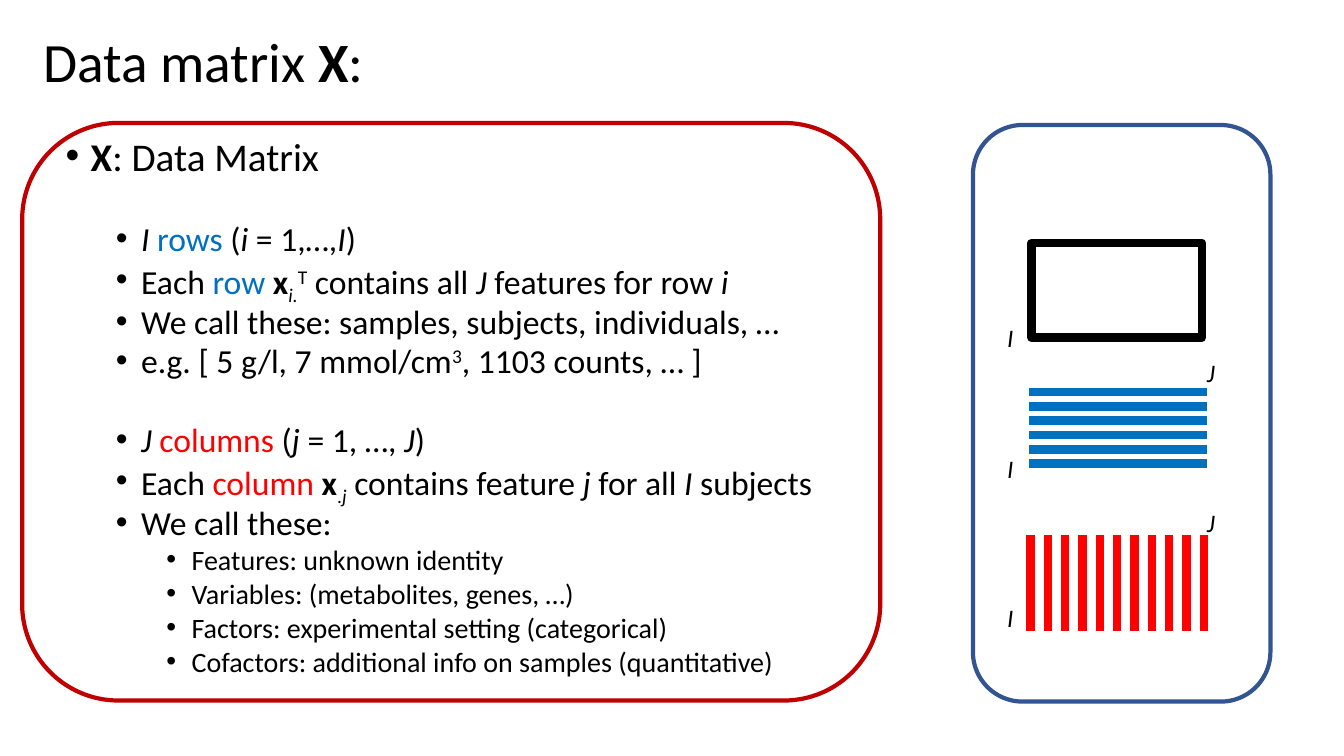
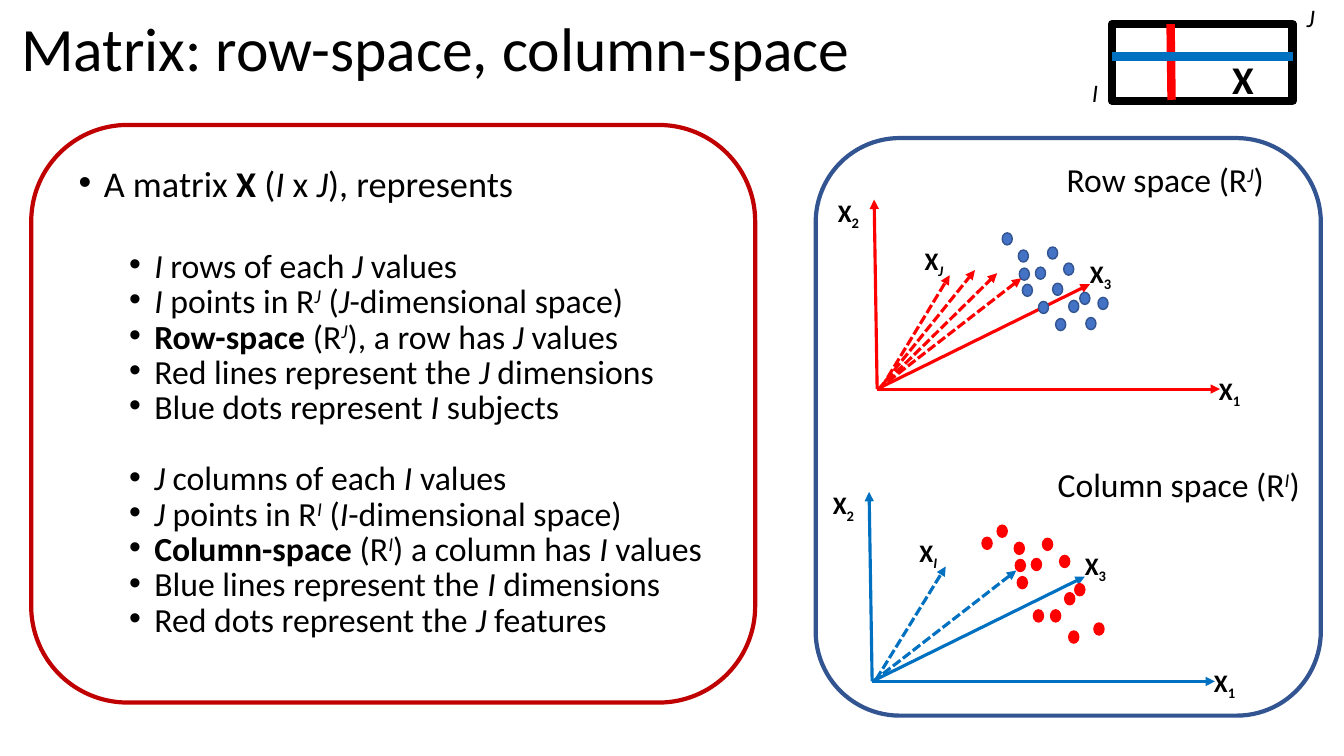
from dataclasses import dataclass
from typing import Optional

from lxml import etree
from pptx import Presentation
from pptx.dml.color import RGBColor
from pptx.enum.dml import MSO_LINE
from pptx.enum.shapes import MSO_CONNECTOR, MSO_SHAPE
from pptx.enum.text import MSO_ANCHOR, MSO_AUTO_SIZE, PP_ALIGN
from pptx.oxml.ns import qn
from pptx.util import Inches, Pt

STRAIGHT = MSO_CONNECTOR.STRAIGHT
RECTANGLE = MSO_SHAPE.RECTANGLE
ROUNDED = MSO_SHAPE.ROUNDED_RECTANGLE
OVAL = MSO_SHAPE.OVAL
DASH = MSO_LINE.SQUARE_DOT
LEFT = PP_ALIGN.LEFT
MIDDLE = MSO_ANCHOR.MIDDLE
NO_AUTOFIT = MSO_AUTO_SIZE.NONE

FONT = "Calibri"
COLORS = {
    "black": "000000", "white": "FFFFFF", "red": "FF0000", "blue": "0070C0",
    "dot": "4472C4", "navy": "325491", "crimson": "C00000",
}
BAR_WIDTH = 6
Point = tuple[float, float]


@dataclass(frozen=True)
class Box:
    left: float
    top: float
    width: float
    height: float

    def lengths(self) -> tuple:
        return tuple(Inches(v) for v in (self.left, self.top, self.width, self.height))


@dataclass(frozen=True)
class Item:
    markup: str
    level: int = 1
    gap: float = 0  # extra points above, opening a new group


@dataclass(frozen=True)
class ItemStyle:
    sizes: tuple[float, ...]
    line_spacing: float


@dataclass(frozen=True)
class Space:
    heading: str
    heading_at: Point
    origin: Point
    axis_color: str
    dot_fill: str
    dot_line: str
    last_axis: str
    dashed: list[tuple[Point, Point]]
    dots: list[Point]


# Text: "{flags:words}" marks bold b, italic i, sub _, super ^, blue B, red R
def write(paragraph, markup: str, *, size: float, bold: bool = False) -> None:
    def add(words: str, flags: str = "") -> None:
        if not words:
            return
        run = paragraph.add_run()
        run.text = words
        font = run.font
        font.name, font.size = FONT, Pt(size)
        font.bold = bold or "b" in flags
        font.italic = "i" in flags
        color = "blue" if "B" in flags else "red" if "R" in flags else "black"
        font.color.rgb = RGBColor.from_string(COLORS[color])
        if "_" in flags or "^" in flags:
            baseline = "-25000" if "_" in flags else "30000"
            run._r.get_or_add_rPr().set("baseline", baseline)

    plain, *marked = markup.split("{")
    add(plain)
    for piece in marked:
        tagged, rest = piece.split("}")
        flags, words = tagged.split(":", 1)
        add(words, flags)
        add(rest)


def add_label(slide, markup: str, at: Point, *, size: float = 18,
              bold: bool = False, width: float = 0.4) -> None:
    box = slide.shapes.add_textbox(*Box(*at, width, size / 45).lengths())
    frame = box.text_frame
    frame.word_wrap = True
    frame.margin_left = frame.margin_right = 0
    write(frame.paragraphs[0], markup, size=size, bold=bold)


def place(placeholder, box: Box):
    (placeholder.left, placeholder.top,
     placeholder.width, placeholder.height) = box.lengths()
    frame = placeholder.text_frame
    frame.auto_size = NO_AUTOFIT
    frame.word_wrap = True
    return frame


def set_title(slide, markup: str, box: Box, *, size: float) -> None:
    frame = place(slide.shapes.title, box)
    frame.vertical_anchor = MIDDLE
    paragraph = frame.paragraphs[0]
    paragraph.alignment = LEFT
    paragraph.line_spacing = 0.9
    write(paragraph, markup, size=size)


def set_items(slide, items: list[Item], box: Box, style: ItemStyle) -> None:
    frame = place(slide.placeholders[1], box)
    for number, item in enumerate(items):
        paragraph = frame.add_paragraph() if number else frame.paragraphs[0]
        paragraph.level = item.level
        properties = paragraph._p.get_or_add_pPr()
        properties.set("marL", str(Inches(0.25 + 0.5 * item.level)))
        properties.set("indent", str(Inches(-0.25)))
        etree.SubElement(properties, qn("a:buFont")).set("typeface", "Arial")
        etree.SubElement(properties, qn("a:buChar")).set("char", "•")
        paragraph.line_spacing = style.line_spacing
        paragraph.space_before = Pt(5 + item.gap if number else 0)
        write(paragraph, item.markup, size=style.sizes[item.level])


# Shapes and lines
def add_figure(slide, kind, box: Box, *, line: str, weight: float,
               fill: Optional[str] = None) -> None:
    shape = slide.shapes.add_shape(kind, *box.lengths())
    shape.shadow.inherit = False
    if fill:
        shape.fill.solid()
        shape.fill.fore_color.rgb = RGBColor.from_string(COLORS[fill])
    else:
        shape.fill.background()
    shape.line.color.rgb = RGBColor.from_string(COLORS[line])
    shape.line.width = Pt(weight)


def add_line(slide, start: Point, end: Point, *, color: str, weight: float = 2.25,
             dashed: bool = False, arrow: bool = False) -> None:
    connector = slide.shapes.add_connector(
        STRAIGHT, *(Inches(v) for v in (*start, *end)))
    line = connector.line
    line.color.rgb = RGBColor.from_string(COLORS[color])
    line.width = Pt(weight)
    if dashed:
        line.dash_style = DASH
    if arrow:
        etree.SubElement(line._get_or_add_ln(), qn("a:tailEnd")).set("type", "triangle")
    etree.SubElement(connector._element.spPr, qn("a:effectLst"))


def add_panels(slide, text_panel: Box, drawing_panel: Box) -> None:
    add_figure(slide, ROUNDED, text_panel, line="crimson", weight=3)
    add_figure(slide, ROUNDED, drawing_panel, line="navy", weight=3)


def add_matrix(slide, box: Box) -> None:
    add_figure(slide, RECTANGLE, box, line="black", weight=BAR_WIDTH, fill="white")


def add_space(slide, space: Space) -> None:
    x, y = space.origin
    add_label(slide, space.heading, space.heading_at, size=24, width=2.5)
    for end in ((x + 3.4, y), (x - 0.03, y - 1.88), (x + 2.11, y - 1.04)):
        add_line(slide, space.origin, end, color=space.axis_color, arrow=True)
    for start, end in space.dashed:
        add_line(slide, start, end, color=space.axis_color, dashed=True, arrow=True)
    for dot in space.dots:
        add_figure(slide, OVAL, Box(*dot, 0.1, 0.12),
                   fill=space.dot_fill, line=space.dot_line, weight=1)
    for index, dx, dy in (("_:1", 3.39, -0.19), ("_:2", -0.39, -1.95),
                          ("_:3", 2.11, -1.35), (f"i_:{space.last_axis}", 0.47, -1.48)):
        add_label(slide, f"X{{{index}}}", (x + dx, y + dy), bold=True)


# Content
DATA_ITEMS = [
    Item("{b:X}: Data Matrix", level=0),
    Item("{i:I }{B:rows} ({i:i} = 1,…,{i:I})", gap=28.4),
    Item("Each {B:row }{b:x}{i_:i.}{^:T} contains all {i:J} features for row {i:i}"),
    Item("We call these: samples, subjects, individuals, …"),
    Item("e.g. [ 5 g/l, 7 mmol/cm{^:3}, 1103 counts, … ]"),
    Item("{i:J }{R:columns} ({i:j} = 1, …, {i:J})", gap=28.4),
    Item("Each {R:column }{b:x}{_:.}{i_:j} contains feature {i:j} for all {i:I} subjects"),
    Item("We call these:"),
    Item("Features: unknown identity", level=2),
    Item("Variables: (metabolites, genes, …)", level=2),
    Item("Factors: experimental setting (categorical)", level=2),
    Item("Cofactors: additional info on samples (quantitative)", level=2),
]
SPACE_ITEMS = [
    Item("A matrix {b:X }({i:I} x {i:J}), represents", level=0),
    Item("{i:I} rows of each {i:J} values", gap=32.1),
    Item("{i:I} points in R{i^:J} ({i:J}-dimensional space)"),
    Item("{b:Row-space }(R{i^:J}), a row has {i:J} values"),
    Item("Red lines represent the {i:J} dimensions"),
    Item("Blue dots represent {i:I} subjects"),
    Item("{i:J} columns of each {i:I} values", gap=25.6),
    Item("{i:J} points in R{i^:I} ({i:I}-dimensional space)"),
    Item("{b:Column-space} (R{i^:I}) a column has {i:I} values"),
    Item("Blue lines represent the {i:I} dimensions"),
    Item("Red dots represent the {i:J} features"),
]
ROW_SPACE = Space(
    "Row space (R{i^:J})", (10.58, 1.53), (8.7, 3.86), "red", "dot", "navy", "J",
    dashed=[((8.71, 3.86), (10.13, 2.76)), ((8.71, 3.87), (9.89, 2.71)),
            ((8.71, 3.87), (9.67, 2.68)), ((8.74, 3.85), (9.42, 2.73))],
    dots=[(9.94, 2.31), (10.1, 2.48), (10.27, 2.65), (10.44, 2.81), (10.6, 2.98),
          (10.77, 3.15), (10.11, 2.66), (10.14, 2.82), (10.3, 2.99), (10.47, 3.16),
          (10.39, 2.45), (10.55, 2.61), (10.71, 2.9), (10.89, 2.95)],
)
COLUMN_SPACE = Space(
    "Column space (R{i^:I})", (10.49, 4.55), (8.65, 6.76), "blue", "red", "red", "I",
    dashed=[((8.66, 6.76), (10.08, 5.66)), ((8.69, 6.74), (9.38, 5.62))],
    dots=[(9.89, 5.21), (10.06, 5.38), (10.23, 5.54), (9.74, 5.33), (10.56, 5.88),
          (10.85, 6.18), (10.07, 5.55), (10.09, 5.72), (10.25, 6.05), (10.42, 6.05),
          (10.34, 5.34), (10.51, 5.51), (10.66, 5.79), (10.6, 6.26)],
)


def build_data_matrix(slide) -> None:
    set_title(slide, "Data matrix {b:X}:", Box(0.33, 0.3, 11.5, 0.68), size=39.6)
    set_items(slide, DATA_ITEMS, Box(0.55, 1.35, 8.09, 5.85),
              ItemStyle((28, 24, 20), 0.8))
    add_panels(slide, Box(0.22, 1.22, 8.51, 5.73), Box(9.65, 1.24, 2.95, 5.72))

    # Whole matrix, then its rows, then its columns
    add_matrix(slide, Box(10.23, 2.41, 1.69, 0.94))
    for row in range(6):
        y = 3.89 + row * 0.71 / 5
        add_line(slide, (10.21, y), (11.97, y), color="blue", weight=BAR_WIDTH)
    for column in range(11):
        x = 10.22 + column * 1.72 / 10
        add_line(slide, (x, 5.31), (x, 6.26), color="red", weight=BAR_WIDTH)
    for top in (3.15, 4.45, 5.93):
        add_label(slide, "{i:I}", (9.99, top))
    for top in (3.5, 4.98):
        add_label(slide, "{i:J}", (11.97, top))


def build_spaces(slide) -> None:
    set_title(slide, "Matrix: row-space, column-space",
              Box(0.11, 0.1, 11.5, 0.82), size=44)
    set_items(slide, SPACE_ITEMS, Box(0.68, 1.67, 6.54, 4.86),
              ItemStyle((25.9, 24.1), 0.7))
    add_panels(slide, Box(0.31, 1.24, 7.18, 5.73), Box(8.09, 1.37, 5.01, 5.73))

    # Matrix with one row and one column
    add_matrix(slide, Box(11.03, 0.24, 1.79, 0.76))
    add_line(slide, (11.61, 0.24), (11.62, 0.99), color="red", weight=BAR_WIDTH)
    add_line(slide, (11.03, 0.56), (12.82, 0.56), color="blue", weight=BAR_WIDTH)
    add_label(slide, "X", (12.22, 0.5), size=28, bold=True)
    add_label(slide, "{i:I}", (10.83, 0.72), width=0.15)
    add_label(slide, "{i:J}", (12.96, -0.03), width=0.3)

    for space in (ROW_SPACE, COLUMN_SPACE):
        add_space(slide, space)


def main() -> None:
    deck = Presentation()
    deck.slide_width, deck.slide_height = Inches(13.33), Inches(7.5)
    for build in (build_data_matrix, build_spaces):
        build(deck.slides.add_slide(deck.slide_layouts[1]))
    deck.save("out.pptx")


if __name__ == "__main__":
    main()
